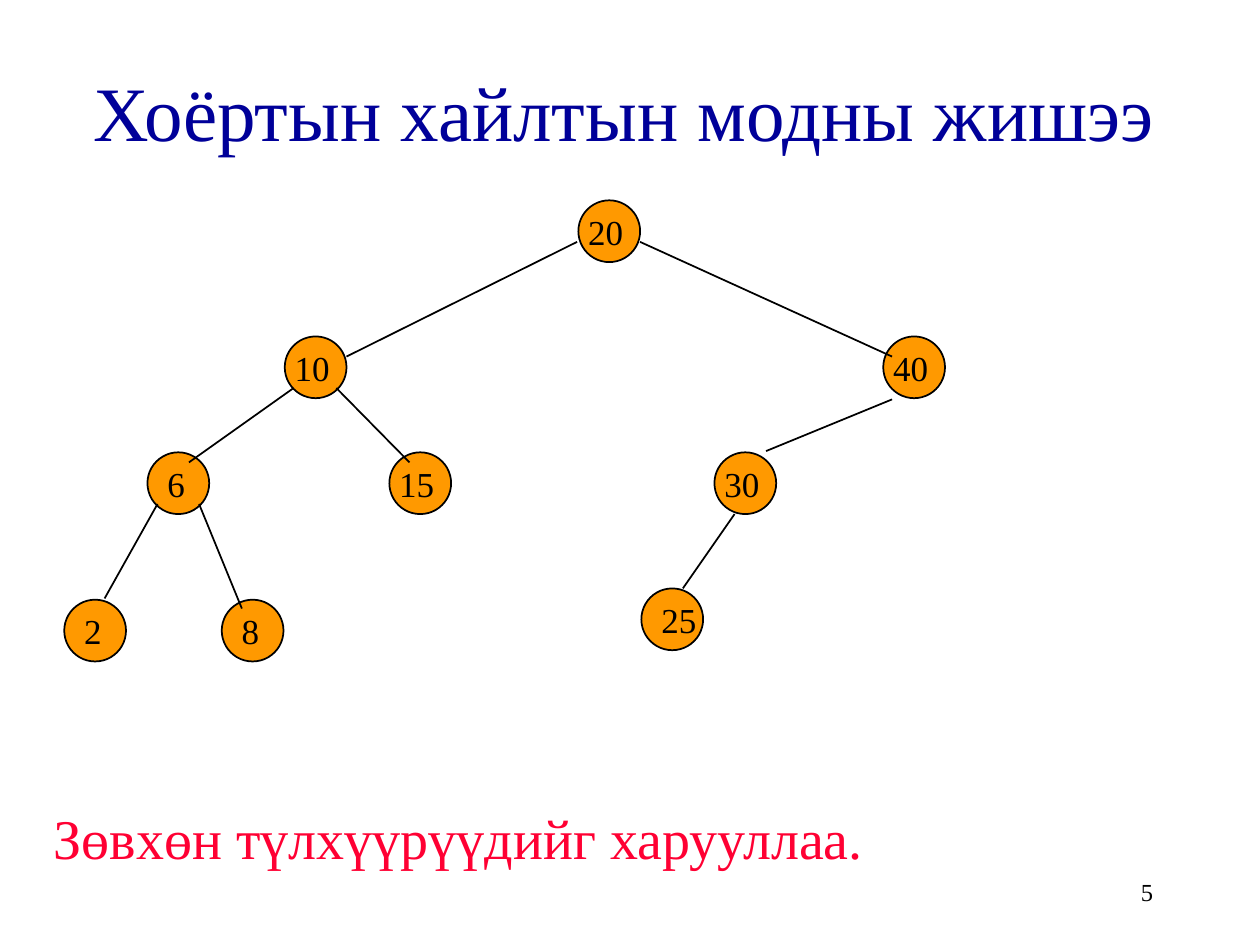
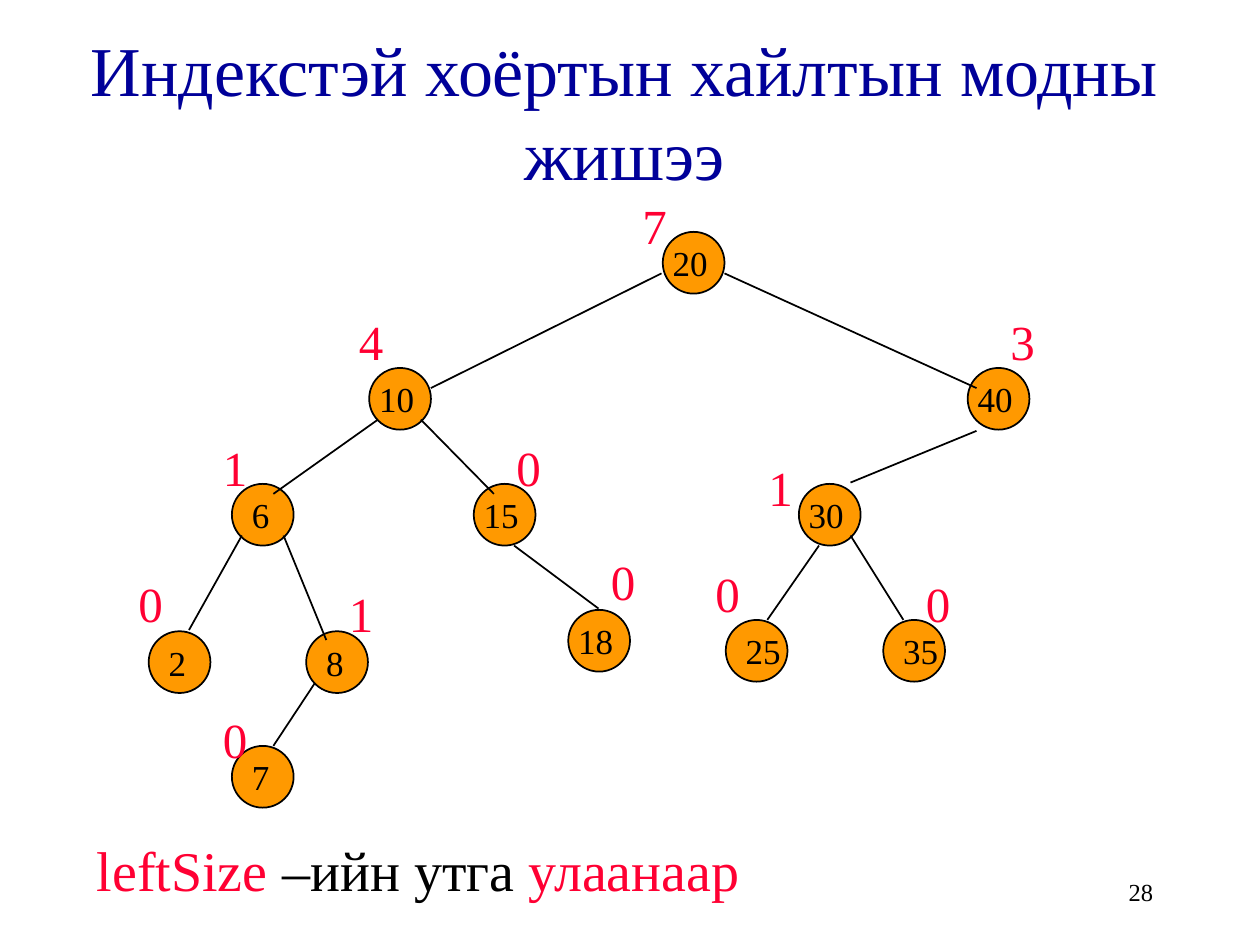
"""Build two slides that show binary search trees, plain and indexed."""
from typing import NamedTuple

from lxml import etree
from pptx import Presentation
from pptx.dml.color import RGBColor
from pptx.enum.shapes import MSO_CONNECTOR, MSO_SHAPE
from pptx.enum.text import MSO_ANCHOR, MSO_AUTO_SIZE, PP_ALIGN
from pptx.oxml.ns import qn
from pptx.util import Inches, Pt

NAVY = RGBColor(0x00, 0x00, 0x99)
ORANGE = RGBColor(0xFF, 0x99, 0x00)
RED = RGBColor(0xFF, 0x00, 0x33)
BLACK = RGBColor(0x00, 0x00, 0x00)

OVAL = MSO_SHAPE.OVAL
STRAIGHT = MSO_CONNECTOR.STRAIGHT
LEFT, CENTER, RIGHT = PP_ALIGN.LEFT, PP_ALIGN.CENTER, PP_ALIGN.RIGHT
TOP, MIDDLE = MSO_ANCHOR.TOP, MSO_ANCHOR.MIDDLE
NO_FIT = MSO_AUTO_SIZE.NONE

TITLE_ONLY = 5
FONT = "Times New Roman"
DIAMETER = 0.49


class Node(NamedTuple):
    key: str
    left: float
    top: float
    key_shift: float = -0.02
    edge: tuple = ()


BASE_TREE = [
    Node("20", 4.59, 1.59),
    Node("10", 2.26, 2.67, edge=(4.58, 1.92, 2.75, 2.83)),
    Node("40", 7.01, 2.67, edge=(5.08, 1.92, 7.08, 2.83)),
    Node("6", 1.17, 3.59, 0.06, (2.33, 3.08, 1.5, 3.67)),
    Node("15", 3.09, 3.59, edge=(2.67, 3.08, 3.25, 3.67)),
    Node("30", 5.67, 3.59, edge=(7.08, 3.17, 6.08, 3.58)),
    Node("2", 0.51, 4.76, 0.06, (1.25, 4, 0.83, 4.75)),
    Node("8", 1.76, 4.76, 0.06, (1.58, 4, 1.92, 4.83)),
    Node("25", 5.09, 4.67, 0.06, (5.83, 4.08, 5.42, 4.67)),
]
ADDED_NODES = [
    Node("35", 7.01, 4.92, 0.06, (6.75, 4.25, 7.17, 4.92)),
    Node("7", 1.84, 5.92, 0.06, (2.5, 5.42, 2.17, 5.92)),
    Node("18", 4.51, 4.84, edge=(4.08, 4.33, 4.75, 4.83)),
]
LEFT_SIZES = [
    ("7", 5, 1.5), ("4", 2.75, 2.42), ("3", 7.92, 2.42),
    ("1", 1.67, 3.42), ("0", 4, 3.42), ("1", 6, 3.58),
    ("0", 1, 4.5), ("1", 2.67, 4.58), ("0", 4.75, 4.33),
    ("0", 5.58, 4.42), ("0", 7.25, 4.5), ("0", 1.67, 5.58),
]


def moved(nodes, across, down):
    """Return the nodes and their edges shifted by the given inches."""
    result = []
    for node in nodes:
        shifts = (across, down, across, down)
        edge = tuple(place + shift for place, shift in zip(node.edge, shifts))
        result.append(node._replace(left=node.left + across, top=node.top + down, edge=edge))
    return result


def write(box, *spans, size, color=BLACK, align=LEFT, anchor=TOP, wrap=True):
    """Fill a box with one paragraph of strings or (string, color) spans."""
    frame = box.text_frame
    frame.auto_size = NO_FIT
    frame.word_wrap = wrap
    frame.vertical_anchor = anchor
    para = frame.paragraphs[0]
    para.alignment = align
    for item in spans:
        text, span_color = (item, color) if isinstance(item, str) else item
        span = para.add_run()
        span.text = text
        span.font.name = FONT
        span.font.size = Pt(size)
        span.font.color.rgb = span_color


class TreeDeck:
    """Hold the deck style and the page being drawn."""

    def __init__(self):
        self.deck = Presentation()
        self.deck.slide_width = Inches(10)
        self.deck.slide_height = Inches(7.5)
        self.page = None

    def start_page(self, title, number, title_size):
        self.page = self.deck.slides.add_slide(self.deck.slide_layouts[TITLE_ONLY])
        box = self.page.shapes.title
        box.left, box.top = Inches(0.08), Inches(0.25)
        box.width, box.height = Inches(9.75), Inches(1.25)
        write(box, title, size=title_size, color=NAVY, align=CENTER, anchor=MIDDLE)
        self.text(7.17, 6.83, 2.08, 0.5, number, size=14, align=RIGHT, anchor=MIDDLE)

    def text(self, left, top, width, height, *spans, **style):
        box = self.page.shapes.add_textbox(
            Inches(left), Inches(top), Inches(width), Inches(height))
        write(box, *spans, **style)

    def circle(self, left, top):
        shape = self.page.shapes.add_shape(
            OVAL, Inches(left), Inches(top), Inches(DIAMETER), Inches(DIAMETER))
        shape.shadow.inherit = False
        shape.fill.solid()
        shape.fill.fore_color.rgb = ORANGE
        shape.line.color.rgb = BLACK
        shape.line.width = Pt(1)

    def edge(self, *ends):
        line = self.page.shapes.add_connector(STRAIGHT, *map(Inches, ends))
        line.line.color.rgb = BLACK
        line.line.width = Pt(1)
        etree.SubElement(line._element.spPr, qn("a:effectLst"))

    def tree(self, nodes):
        for node in nodes:
            self.circle(node.left, node.top)
        for node in nodes:
            if node.edge:
                self.edge(*node.edge)
        for node in nodes:
            width = 0.2 + 0.14 * len(node.key)
            self.text(node.left + node.key_shift, node.top + 0.03, width, 0.43,
                      node.key, size=20, wrap=False)

    def left_sizes(self, labels):
        for value, left, top in labels:
            self.text(left, top, 0.25, 0.57, value, size=28, color=RED)


def main():
    show = TreeDeck()

    show.start_page("Хоёртын хайлтын модны жишээ", "5", 44)
    show.tree(BASE_TREE)
    show.text(0.33, 6.33, 9, 0.63, "Зөвхөн түлхүүрүүдийг харууллаа.", size=32, color=RED)

    show.start_page("Индекстэй хоёртын хайлтын модны жишээ", "28", 40)
    show.tree(moved(BASE_TREE, 0.67, 0.25) + ADDED_NODES)
    show.left_sizes(LEFT_SIZES)
    show.text(0.67, 6.58, 8.25, 0.63, ("leftSize ", RED), "–ийн утга ",
              ("улаанаар", RED), size=32)

    show.deck.save("out.pptx")


if __name__ == "__main__":
    main()
